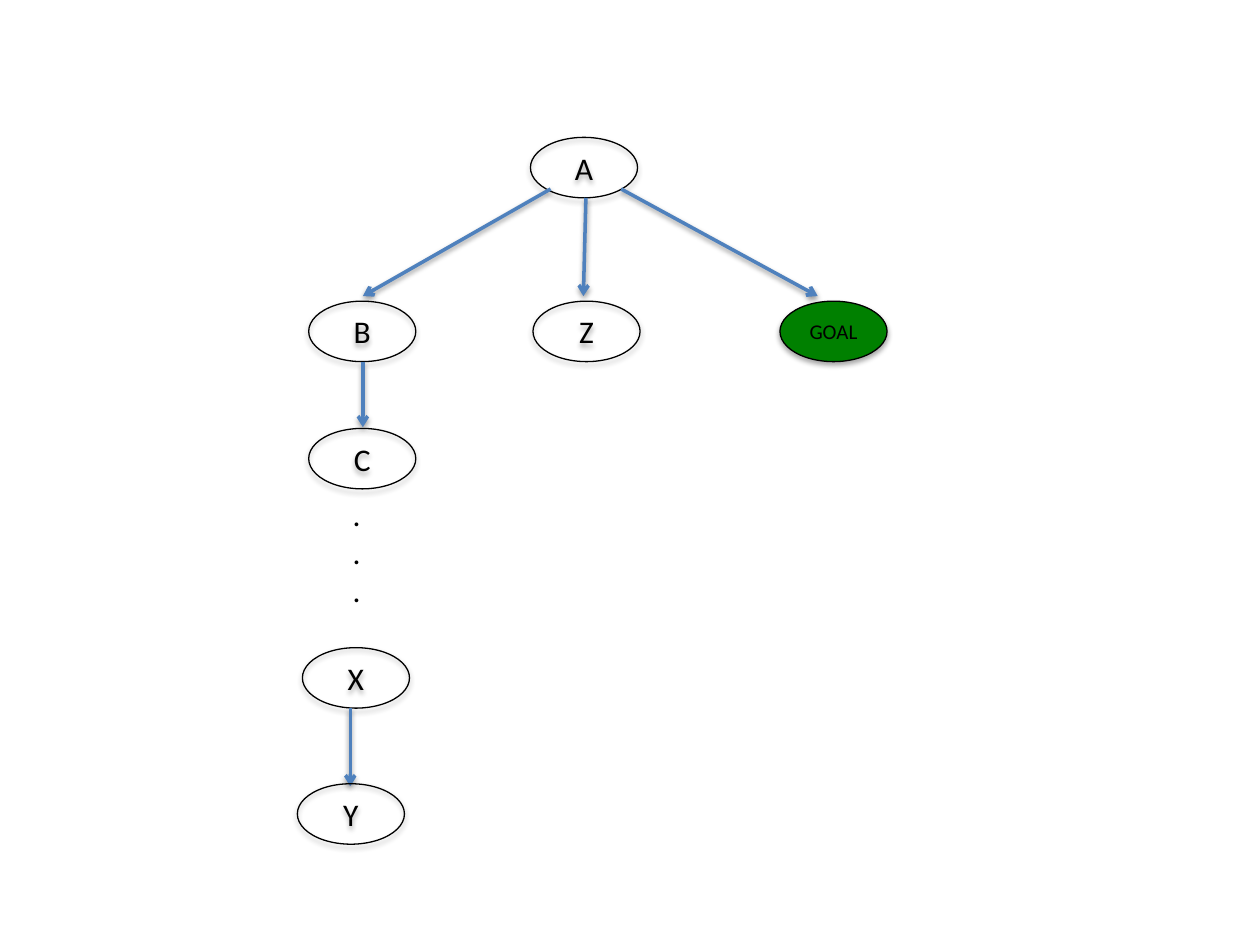
from lxml.etree import SubElement
from pptx import Presentation
from pptx.dml.color import RGBColor
from pptx.enum.shapes import MSO_CONNECTOR as Connector, MSO_SHAPE as Shape
from pptx.enum.text import MSO_ANCHOR as Anchor, PP_ALIGN as Align
from pptx.oxml.ns import qn
from pptx.util import Inches, Pt

COLORS = {"ink": "000000", "arrow": "4F81BD", "goal": "008000"}
NODE_WIDTH, NODE_HEIGHT = 0.85, 0.48


def color(name):
    """Return the named colour."""
    return RGBColor.from_string(COLORS[name])


def add_shadow(shape, opacity, distance):
    """Give a shape a soft shadow straight below it."""
    properties = shape._element.spPr
    effects = properties.find(qn("a:effectLst"))
    if effects is None:
        effects = SubElement(properties, qn("a:effectLst"))
    shadow = SubElement(effects, qn("a:outerShdw"), blurRad=str(Pt(3.1)),
                        dist=str(Pt(distance)), dir="5400000", rotWithShape="0")
    tint = SubElement(shadow, qn("a:srgbClr"), val=COLORS["ink"])
    SubElement(tint, qn("a:alpha"), val=str(opacity * 1000))


def write_text(shape, text, size=18, align=Align.LEFT, anchor=Anchor.TOP, wrap=True):
    """Write one paragraph for each line of text."""
    frame = shape.text_frame
    frame.text = text
    frame.word_wrap = wrap
    frame.vertical_anchor = anchor
    for paragraph in frame.paragraphs:
        paragraph.alignment = align
        font = paragraph.font
        font.name, font.size = "Calibri", Pt(size)
        font.color.rgb = color("ink")


def add_node(slide, label, left, top, size=18, fill=None):
    """Add a labelled oval."""
    shape = slide.shapes.add_shape(Shape.OVAL, Inches(left), Inches(top),
                                   Inches(NODE_WIDTH), Inches(NODE_HEIGHT))
    shape.shadow.inherit = False
    if fill:
        shape.fill.solid()
        shape.fill.fore_color.rgb = color(fill)
    else:
        shape.fill.background()
    shape.line.color.rgb = color("ink")
    shape.line.width = Pt(0.75)
    add_shadow(shape, 35, 1.8)
    write_text(shape, label, size, Align.CENTER, Anchor.MIDDLE, wrap=False)


def add_arrow(slide, start, end):
    """Add a straight arrow between two points."""
    arrow = slide.shapes.add_connector(Connector.STRAIGHT, *map(Inches, start + end))
    arrow.line.color.rgb = color("arrow")
    arrow.line.width = Pt(2)
    SubElement(arrow.line._get_or_add_ln(), qn("a:tailEnd"), type="arrow")
    add_shadow(arrow, 38, 1.6)


def add_branches(slide, left, top):
    """Add the root, its three children and the arrows to them."""
    child_top = top + 1.3
    add_node(slide, "A", left + 1.76, top)
    for start, end in (((1.92, 0.41), 0.43), ((2.2, 0.48), 2.18), ((2.48, 0.41), 4.04)):
        add_arrow(slide, (left + start[0], top + start[1]), (left + end, top + 1.26))
    add_node(slide, "B", left, child_top)
    add_node(slide, "Z", left + 1.78, child_top)
    add_node(slide, "GOAL", left + 3.74, child_top, size=12, fill="goal")


def add_deep_path(slide, left, top):
    """Add the long chain of nodes below the first child."""
    add_arrow(slide, (left + 0.43, top), (left + 0.43, top + 0.52))
    add_node(slide, "C", left, top + 0.53)
    dots = slide.shapes.add_textbox(Inches(left + 0.25), Inches(top + 1.01),
                                    Inches(0.36), Inches(1.01))
    write_text(dots, ".\n.\n.")
    add_node(slide, "X", left - 0.05, top + 2.27)
    add_arrow(slide, (left + 0.33, top + 2.75), (left + 0.33, top + 3.37))
    add_node(slide, "Y", left - 0.09, top + 3.35)


def main():
    """Build the search tree slide."""
    presentation = Presentation()
    presentation.slide_width, presentation.slide_height = Inches(10), Inches(7.5)
    slide = presentation.slides.add_slide(presentation.slide_layouts[6])
    add_branches(slide, 2.45, 1.09)
    add_deep_path(slide, 2.45, 2.87)
    presentation.save("out.pptx")


if __name__ == "__main__":
    main()
